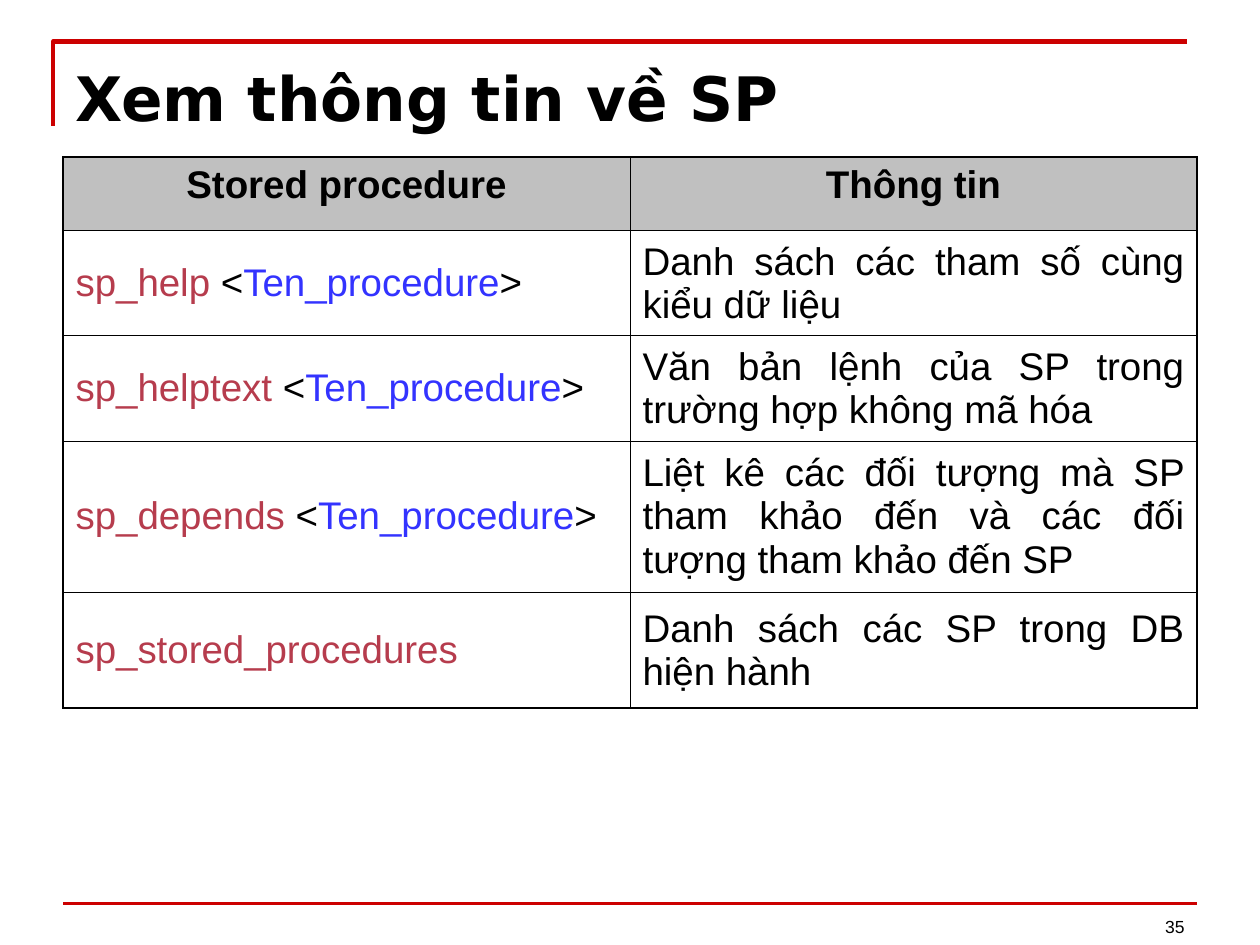
"""Builds the slide on viewing stored procedure information."""
from lxml import etree
from pptx import Presentation
from pptx import util as u
from pptx.dml.color import RGBColor
from pptx.enum import shapes, text
from pptx.oxml import ns

COLORS = {"ink": "000000", "rule": "CC0000", "header": "C0C0C0",
          "command": "B63C4D", "argument": "3333FF"}
THIN, THICK = 0.45, 1.08


def write(frame, *parts, size=22, font="Arial", bold=False,
          align=text.PP_ALIGN.JUSTIFY, anchor=text.MSO_ANCHOR.MIDDLE):
    frame.word_wrap = True
    frame.vertical_anchor = anchor
    paragraph = frame.paragraphs[0]
    paragraph.alignment = align
    for words, color in parts:
        run = paragraph.add_run()
        run.text = words
        run.font.size = u.Pt(size)
        run.font.name = font
        run.font.bold = bold
        run.font.color.rgb = RGBColor.from_string(COLORS[color])


def border(cell, side, width):
    properties = cell._tc.get_or_add_tcPr()
    edge = etree.SubElement(properties, ns.qn(f"a:ln{side}"), w=str(u.Pt(width)))
    fill = etree.SubElement(edge, ns.qn("a:solidFill"))
    etree.SubElement(fill, ns.qn("a:srgbClr"), val=COLORS["ink"])


prs = Presentation()
prs.slide_width, prs.slide_height = u.Cm(25.4), u.Cm(19.05)
slide = prs.slides.add_slide(prs.slide_layouts[5])
rule_color = RGBColor.from_string(COLORS["rule"])

builder = slide.shapes.build_freeform(u.Cm(1.07), u.Cm(2.54))
builder.add_line_segments([(u.Cm(1.07), u.Cm(0.84)), (u.Cm(23.93), u.Cm(0.84))], close=False)
corner = builder.convert_to_shape()
corner.shadow.inherit = False
corner.fill.background()
corner.line.color.rgb = rule_color
corner.line.width = u.Pt(2.5)

footer_rule = slide.shapes.add_connector(
    shapes.MSO_CONNECTOR.STRAIGHT, u.Cm(1.27), u.Cm(18.21), u.Cm(24.13), u.Cm(18.21))
footer_rule.line.color.rgb = rule_color
footer_rule.line.width = u.Pt(2)
etree.SubElement(footer_rule._element.spPr, ns.qn("a:effectLst"))

page_number = slide.shapes.add_textbox(u.Cm(18.21), u.Cm(17.75), u.Cm(5.92), u.Cm(1.27))
write(page_number.text_frame, ("35", "ink"), size=10,
      align=text.PP_ALIGN.RIGHT, anchor=text.MSO_ANCHOR.BOTTOM)

heading = slide.shapes.title
heading.left, heading.top = u.Cm(1.27), u.Cm(0.99)
heading.width, heading.height = u.Cm(22.86), u.Cm(2.18)
heading.text_frame.auto_size = text.MSO_AUTO_SIZE.NONE
heading.text_frame.margin_top = u.Cm(0.22)
write(heading.text_frame, ("Xem thông tin về SP", "ink"), size=35, font="DejaVu Sans",
      bold=True, align=text.PP_ALIGN.LEFT, anchor=text.MSO_ANCHOR.TOP)

argument = [("<", "ink"), ("Ten_procedure", "argument"), (">", "ink")]
procedures = [
    (1.48, [("Stored procedure", "ink")], "Thông tin"),
    (2.12, [("sp_help ", "command"), *argument], "Danh sách các tham số cùng kiểu dữ liệu"),
    (2.12, [("sp_helptext ", "command"), *argument],
     "Văn bản lệnh của SP trong trường hợp không mã hóa"),
    (3.04, [("sp_depends ", "command"), *argument],
     "Liệt kê các đối tượng mà SP tham khảo đến và các đối tượng tham khảo đến SP"),
    (2.34, [("sp_stored_procedures", "command")], "Danh sách các SP trong DB hiện hành"),
]
last = len(procedures) - 1
table_height = u.Cm(sum(height for height, _, _ in procedures))
table = slide.shapes.add_table(
    len(procedures), 2, u.Cm(1.27), u.Cm(3.17), u.Cm(22.86), table_height).table
table.horz_banding = False

for row, (height, command, meaning) in enumerate(procedures):
    table.rows[row].height = u.Cm(height)
    for column, parts in enumerate((command, [(meaning, "ink")])):
        cell = table.cell(row, column)
        outer = {"L": column == 0, "R": column == 1, "T": row == 0, "B": row == last}
        for side, is_outer in outer.items():
            border(cell, side, THICK if is_outer else THIN)
        if row == 0:
            cell.fill.solid()
            cell.fill.fore_color.rgb = RGBColor.from_string(COLORS["header"])
            write(cell.text_frame, *parts, bold=True, align=text.PP_ALIGN.CENTER)
            cell.vertical_anchor = text.MSO_ANCHOR.TOP
        else:
            cell.fill.background()
            write(cell.text_frame, *parts)
            cell.vertical_anchor = text.MSO_ANCHOR.MIDDLE

prs.save("out.pptx")
